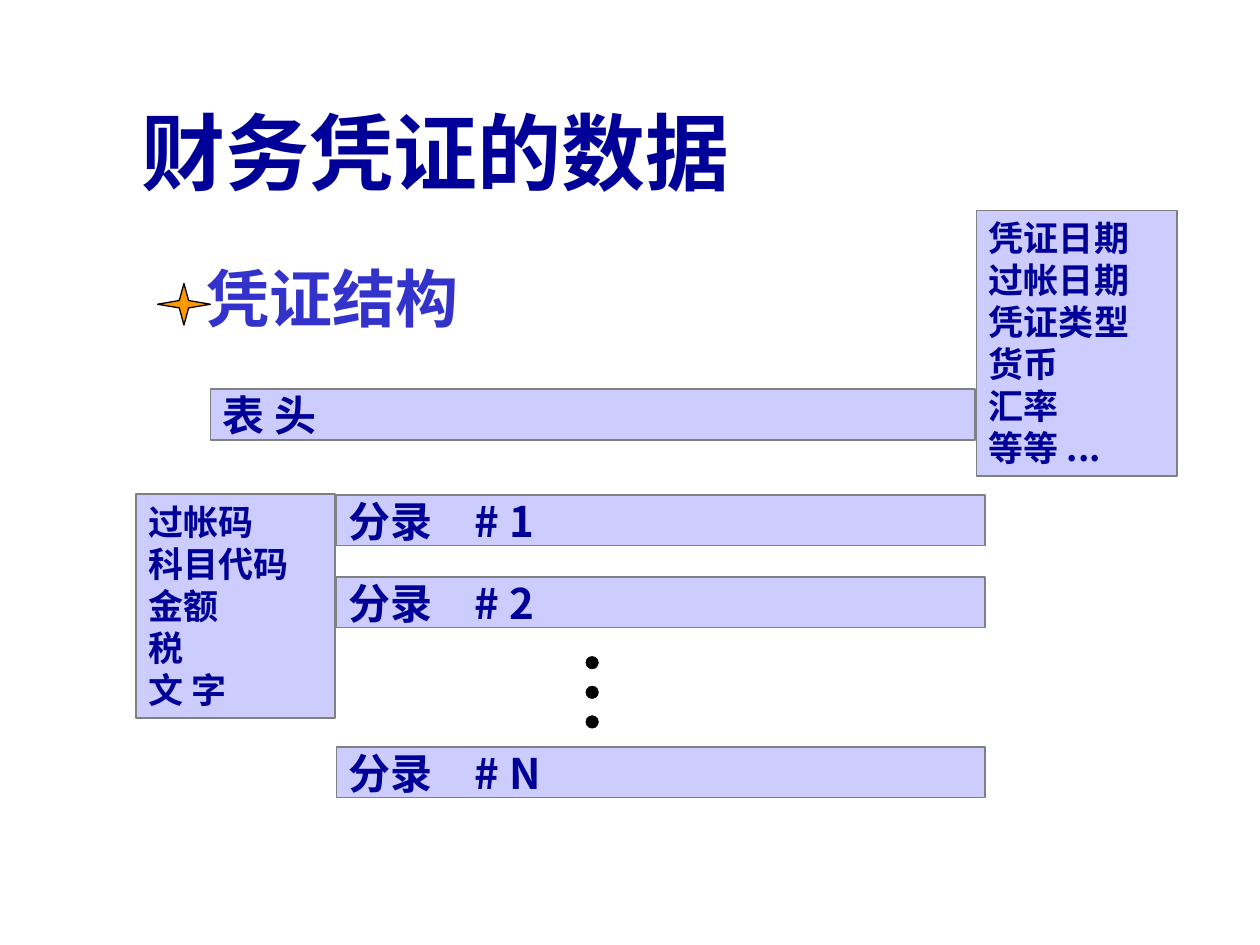
from pptx import Presentation
from pptx.dml.color import RGBColor
from pptx.enum.shapes import MSO_SHAPE
from pptx.enum.text import MSO_ANCHOR, MSO_AUTO_SIZE, PP_ALIGN
from pptx.oxml.ns import qn
from pptx.util import Inches, Pt
from lxml import etree

RECT, OVAL, STAR = MSO_SHAPE.RECTANGLE, MSO_SHAPE.OVAL, MSO_SHAPE.STAR_4_POINT
TOP, MIDDLE = MSO_ANCHOR.TOP, MSO_ANCHOR.MIDDLE
LEFT, FIXED = PP_ALIGN.LEFT, MSO_AUTO_SIZE.NONE
FONT = "Noto Sans CJK SC"
COLORS = {
    "navy": "000099",
    "blue": "3333CC",
    "fill": "CCCCFF",
    "edge": "808080",
    "star": "FF9900",
    "black": "000000",
}


def color(name):
    """Return a named colour."""
    return RGBColor.from_string(COLORS[name])


def write(shape, text, size, ink="navy", space=1.0, anchor=TOP):
    """Fill a shape with bold left-aligned text."""
    frame = shape.text_frame
    frame.text = text
    frame.auto_size = FIXED
    frame.vertical_anchor = anchor
    for para in frame.paragraphs:
        para.alignment = LEFT
        para.line_spacing = space
        para.space_before = Pt(0)
        for run in para.runs:
            font = run.font
            font.name, font.size, font.bold = FONT, Pt(size), True
            font.color.rgb = color(ink)
            east = etree.SubElement(font._element, qn("a:ea"))
            east.set("typeface", FONT)


def place(shape, box):
    """Move a shape to a box in inches."""
    shape.left, shape.top, shape.width, shape.height = map(Inches, box)


def draw(slide, kind, box, fill="fill", edge="edge", width=1):
    """Add a flat filled shape."""
    shape = slide.shapes.add_shape(kind, *map(Inches, box))
    shape.shadow.inherit = False
    shape.fill.solid()
    shape.fill.fore_color.rgb = color(fill)
    shape.line.color.rgb = color(edge)
    shape.line.width = Pt(width)
    return shape


def add_title(slide, box, text):
    """Set the slide title."""
    title = slide.shapes.title
    place(title, box)
    write(title, text, 48, space=0.9)


def add_topic(slide, box, text):
    """Set the body heading with its star."""
    body = slide.placeholders[1]
    place(body, box)
    write(body, text, 36, "blue", 0.9)
    body.text_frame.margin_left = Inches(0.89)
    props = body.text_frame.paragraphs[0]._p.get_or_add_pPr()
    props.set("marL", "0")
    props.set("indent", "0")
    etree.SubElement(props, qn("a:buNone"))
    left, top = box[:2]
    star = draw(slide, STAR, (left + 0.5, top + 0.17, 0.42, 0.33),
                "star", "black", 0.75)
    star.adjustments[0] = 0.125


def add_list(slide, box, items):
    """Add a panel of field names."""
    panel = draw(slide, RECT, box)
    write(panel, "\n".join(items), 20, space=Pt(24))


def add_bar(slide, box, text):
    """Add a labelled record bar."""
    bar = draw(slide, RECT, box)
    write(bar, text, 24, space=Pt(28.8), anchor=MIDDLE)
    frame = bar.text_frame
    frame.word_wrap = False
    frame.margin_top = frame.margin_bottom = 0


def add_dots(slide, box, count=3):
    """Add evenly spaced dots down a box."""
    left, top, size, height = box
    step = (height - size) / (count - 1)
    for i in range(count):
        draw(slide, OVAL, (left, top + i * step, size, size),
             "black", "black", 0.25)


def main():
    """Build the voucher slide."""
    deck = Presentation()
    deck.slide_width, deck.slide_height = Inches(10), Inches(7.5)
    slide = deck.slides.add_slide(deck.slide_layouts[1])
    add_title(slide, (1.02, 0.84, 5.16, 0.49), "财务凭证的数据")
    add_topic(slide, (0.75, 2.08, 8.5, 4.5), "凭证结构")
    add_list(slide, (7.75, 1.67, 1.59, 2.11),
             ["凭证日期", "过帐日期", "凭证类型", "货币", "汇率", "等等 ..."])
    add_list(slide, (1.08, 3.92, 1.58, 1.78),
             ["过帐码", "科目代码", "金额", "税", "文 字"])
    add_bar(slide, (1.67, 3.09, 6.07, 0.4), "表 头")
    for top, mark in ((3.93, "1"), (4.58, "2"), (5.93, "N")):
        add_bar(slide, (2.67, top, 5.15, 0.4), f"分录　# {mark}")
    add_dots(slide, (4.65, 5.21, 0.1, 0.57))
    deck.save("out.pptx")


if __name__ == "__main__":
    main()
